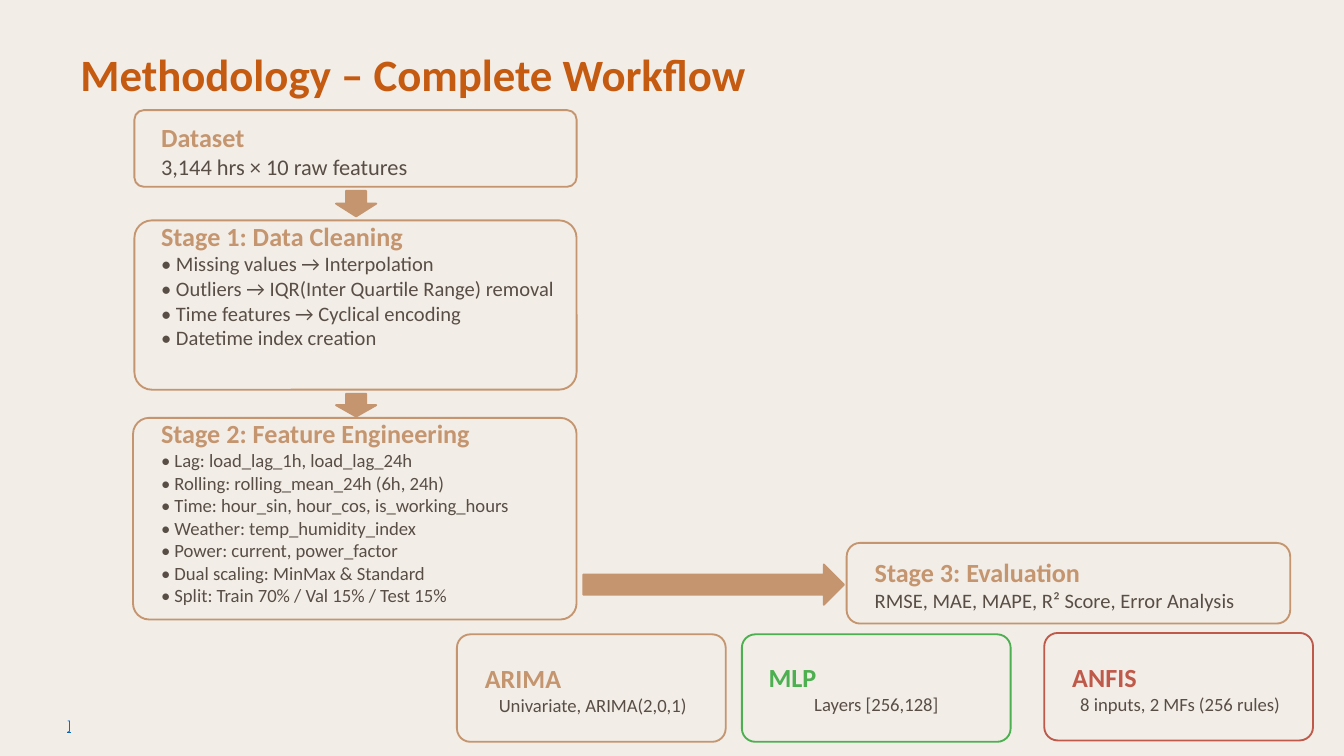
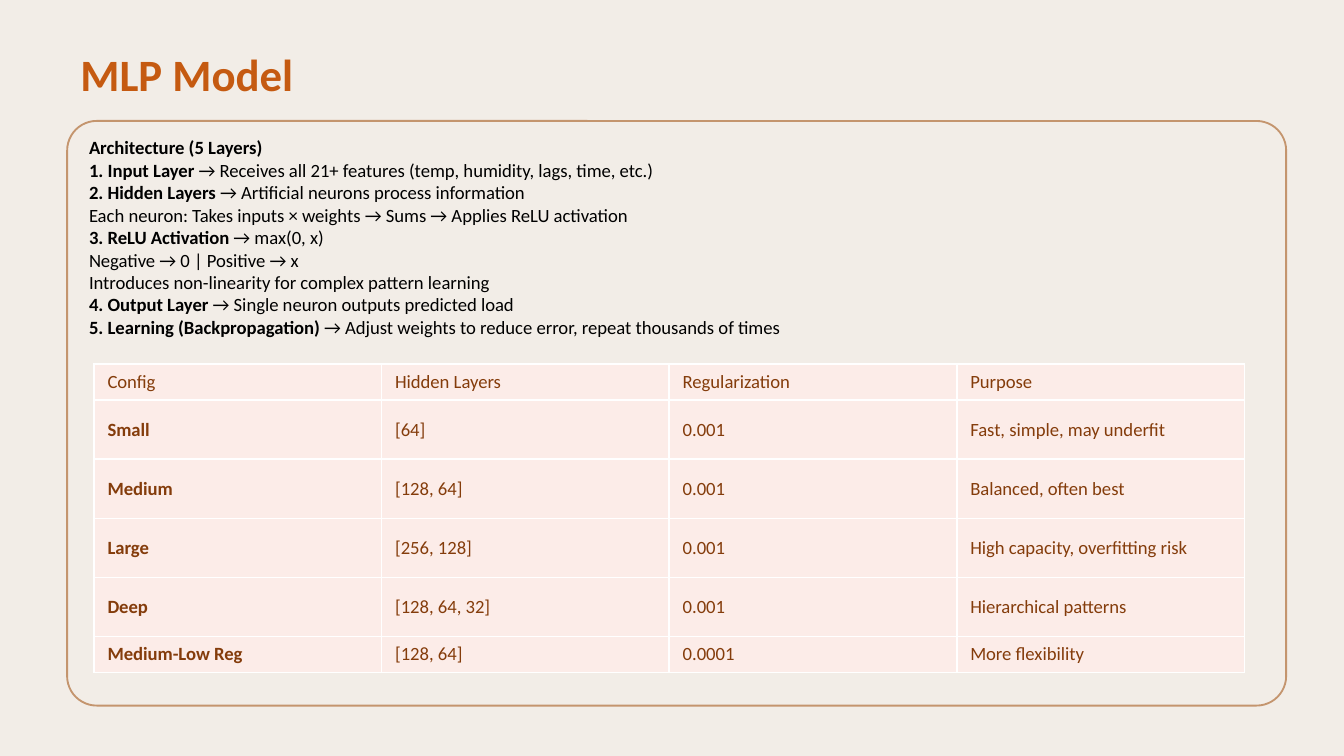
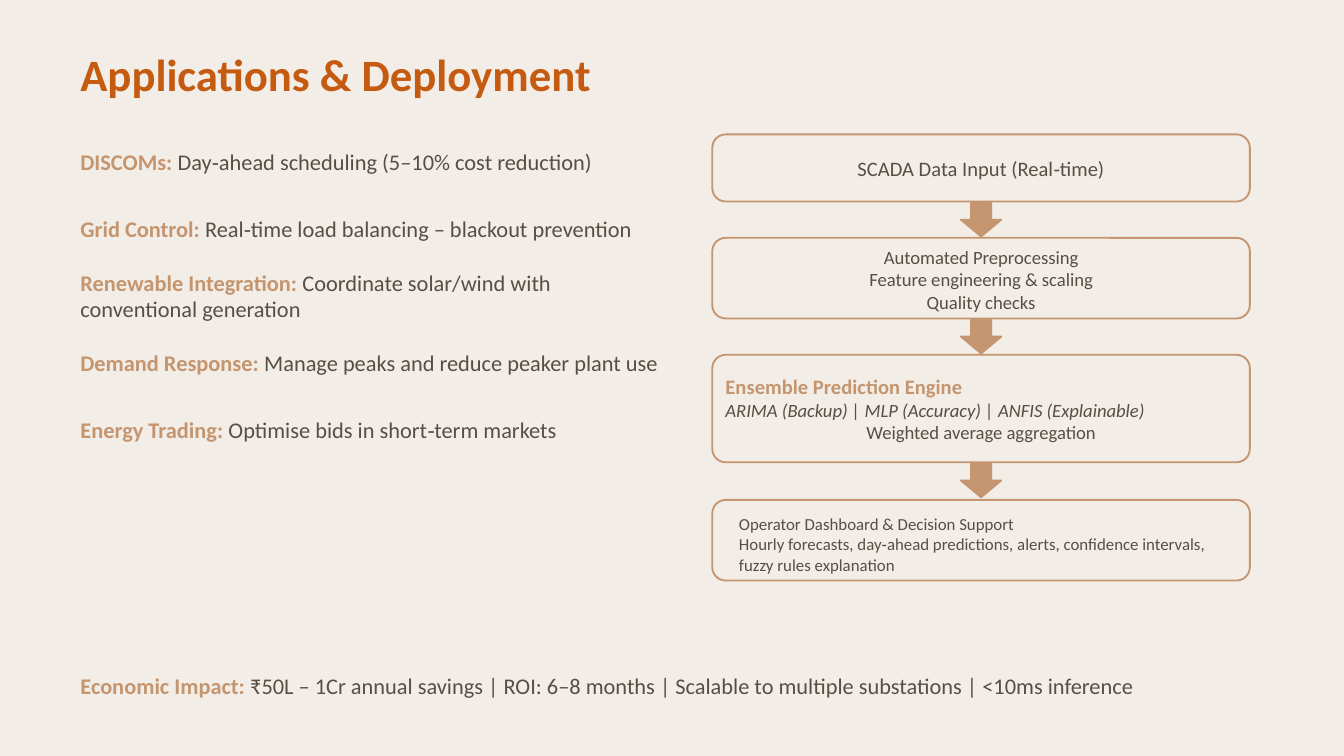
"""Build three slides on a load forecasting workflow, its MLP model and its deployment."""
from lxml.etree import SubElement
from pptx import Presentation
from pptx.dml.color import RGBColor
from pptx.enum.shapes import MSO_SHAPE
from pptx.enum.text import MSO_ANCHOR, PP_ALIGN
from pptx.oxml.ns import qn
from pptx.util import Pt

PX = 9144
FONT = "Calibri"
CREAM = RGBColor(0xF2, 0xED, 0xE7)
ORANGE = RGBColor(0xC5, 0x5A, 0x11)
TAN = RGBColor(0xC4, 0x95, 0x6E)
GREY = RGBColor(0x58, 0x4E, 0x46)
GREEN = RGBColor(0x4C, 0xAF, 0x50)
RED = RGBColor(0xBF, 0x5A, 0x4A)
BLUE = RGBColor(0x05, 0x63, 0xC1)
BLACK = RGBColor(0, 0, 0)
BROWN = RGBColor(0x84, 0x3C, 0x0B)
BLUSH = RGBColor(0xFC, 0xEC, 0xE8)
LEFT, CENTER = PP_ALIGN.LEFT, PP_ALIGN.CENTER
BOLD = {"bold": True}
ITALIC = {"italic": True}
PLAIN = {"bold": False}


def put(page, place, kind=None, line=TAN, fill=CREAM, radius=0):
    """Add a text box, or a preset shape when a kind is given."""
    area = [PX * length for length in place]
    if kind is None:
        box = page.shapes.add_textbox(*area)
    else:
        box = page.shapes.add_shape(kind, *area)
        box.shadow.inherit = False
        box.fill.solid()
        box.fill.fore_color.rgb = fill
        box.line.color.rgb = line
        box.line.width = Pt(1)
        if radius:
            box.adjustments[0] = radius / min(place[2:])
    box.text_frame.word_wrap = True
    box.text_frame.vertical_anchor = MSO_ANCHOR.MIDDLE
    return box


def write(frame, *paras):
    """Fill a frame with paragraphs, each an alignment followed by its spans."""
    for index, (align, *spans) in enumerate(paras):
        para = frame.add_paragraph() if index else frame.paragraphs[0]
        para.alignment = align
        for text, size, color, extras in spans:
            span = para.add_run()
            span.text = text
            for name, value in {"name": FONT, "size": Pt(size), **extras}.items():
                setattr(span.font, name, value)
            span.font.color.rgb = color


deck = Presentation()
deck.slide_width = 1000 * PX
deck.slide_height = deck.slide_width * 9 // 16
pages = []
for title in ("Methodology – Complete Workflow", "MLP Model", "Applications & Deployment"):
    page = deck.slides.add_slide(deck.slide_layouts[6])
    page.background.fill.solid()
    page.background.fill.fore_color.rgb = CREAM
    write(put(page, (50, 30, 900, 50)).text_frame, (LEFT, (title, 24, ORANGE, BOLD)))
    pages.append(page)
workflow, model, deployment = pages

stages = [
    ((100, 82, 329, 57), 7, (110, 82, 310, 60), TAN, LEFT, 12,
     "Dataset", ["3,144 hrs × 10 raw features"]),
    ((100, 164, 329, 126), 13, (110, 172, 352, 80), TAN, LEFT, 11,
     "Stage 1: Data Cleaning",
     ["• Missing values → Interpolation",
      "• Outliers → IQR(Inter Quartile Range) removal",
      "• Time features → Cyclical encoding",
      "• Datetime index creation"]),
    ((99, 311, 330, 150), 12, (110, 331, 310, 100), TAN, LEFT, 10,
     "Stage 2: Feature Engineering",
     ["• Lag: load_lag_1h, load_lag_24h",
      "• Rolling: rolling_mean_24h (6h, 24h)",
      "• Time: hour_sin, hour_cos, is_working_hours",
      "• Weather: temp_humidity_index",
      "• Power: current, power_factor",
      "• Dual scaling: MinMax & Standard",
      "• Split: Train 70% / Val 15% / Test 15%"]),
    ((340, 472, 200, 80), 10, (351, 483, 180, 60), TAN, CENTER, 10,
     "ARIMA", ["Univariate, ARIMA(2,0,1)"]),
    ((552, 472, 200, 80), 10, (562, 482, 180, 60), GREEN, CENTER, 10,
     "MLP", ["Layers [256,128]"]),
    ((777, 471, 200, 80), 10, (788, 482, 180, 60), RED, CENTER, 10,
     "ANFIS", ["8 inputs, 2 MFs (256 rules)"]),
    ((630, 404, 330, 60), 10, (641, 410, 310, 50), TAN, LEFT, 11,
     "Stage 3: Evaluation", ["RMSE, MAE, MAPE, R² Score, Error Analysis"]),
]
for place, radius, text_place, color, align, size, heading, lines in stages:
    put(workflow, place, MSO_SHAPE.ROUNDED_RECTANGLE, color, radius=radius)
    write(put(workflow, text_place).text_frame,
          (LEFT, (heading, 14, color, BOLD)),
          *[(align, (line, size, GREY, PLAIN)) for line in lines])
for place, turn in (((250, 142, 30, 19), 0), ((250, 293, 30, 17), 0), ((516, 338, 30, 194), 270)):
    put(workflow, place, MSO_SHAPE.DOWN_ARROW, fill=TAN).rotation = turn
footer = put(workflow, (50, 525, 900, 30)).text_frame
for side in ("left", "top", "right", "bottom"):
    setattr(footer, f"margin_{side}", 0)
write(footer, (LEFT, ("]", 7, BLUE, {"underline": True})))

architecture = [
    ("Architecture (5 Layers)", ""),
    ("1. Input Layer", " → Receives all 21+ features (temp, humidity, lags, time, etc.)"),
    ("2. Hidden Layers", " → Artificial neurons process information"),
    ("", "Each neuron: Takes inputs × weights → Sums → Applies ReLU activation"),
    ("3. ReLU Activation", " → max(0, x)"),
    ("", "Negative → 0 | Positive → x"),
    ("", "Introduces non-linearity for complex pattern learning"),
    ("4. Output Layer", " → Single neuron outputs predicted load"),
    ("5. Learning (Backpropagation)",
     " → Adjust weights to reduce error, repeat thousands of times"),
]
panel = put(model, (50, 90, 907, 435), MSO_SHAPE.ROUNDED_RECTANGLE, radius=22).text_frame
panel.vertical_anchor = MSO_ANCHOR.TOP
write(panel, *[
    (LEFT, *[(text, 10, BLACK, extras) for text, extras in ((label, BOLD), (detail, PLAIN)) if text])
    for label, detail in architecture])

configs = [
    ("Config", "Hidden Layers", "Regularization", "Purpose"),
    ("Small", "[64]", "0.001", "Fast, simple, may underfit"),
    ("Medium", "[128, 64]", "0.001", "Balanced, often best"),
    ("Large", "[256, 128]", "0.001", "High capacity, overfitting risk"),
    ("Deep", "[128, 64, 32]", "0.001", "Hierarchical patterns"),
    ("Medium-Low Reg", "[128, 64]", "0.0001", "More flexibility"),
]
heights = (25, 44, 44, 44, 44, 25)
table = model.shapes.add_table(
    len(configs), 4, 70 * PX, 271 * PX, 4 * 214 * PX, sum(heights) * PX).table
table.first_row = table.horz_banding = False
for column in table.columns:
    column.width = 214 * PX
for row, (config, height) in enumerate(zip(configs, heights)):
    table.rows[row].height = height * PX
    for column, text in enumerate(config):
        cell = table.cell(row, column)
        cell.vertical_anchor = MSO_ANCHOR.MIDDLE
        for edge in ("a:lnL", "a:lnR", "a:lnT", "a:lnB"):
            border = SubElement(cell._tc.get_or_add_tcPr(), qn(edge), w=str(Pt(1)))
            SubElement(SubElement(border, qn("a:solidFill")), qn("a:srgbClr"), val="FFFFFF")
        cell.fill.solid()
        cell.fill.fore_color.rgb = BLUSH
        write(cell.text_frame,
              (LEFT, (text, 10, BROWN, BOLD if row and not column else PLAIN)))

applications = [
    ("DISCOMs: ", "Day‑ahead scheduling (5–10% cost reduction)"),
    ("Grid Control: ", "Real‑time load balancing – blackout prevention"),
    ("Renewable Integration: ", "Coordinate solar/wind with conventional generation"),
    ("Demand Response: ", "Manage peaks and reduce peaker plant use"),
    ("Energy Trading: ", "Optimise bids in short‑term markets"),
]
notes = [((50, 100 + 50 * index, 450, 40), *texts) for index, texts in enumerate(applications)]
notes.append(((50, 480, 950, 60), "Economic Impact: ",
              "₹50L – 1Cr annual savings | ROI: 6–8 months | "
              "Scalable to multiple substations | <10ms inference"))
for place, label, detail in notes:
    write(put(deployment, place).text_frame,
          (LEFT, (label, 12, TAN, BOLD), (detail, 12, GREY, PLAIN)))

steps = [
    (100, 50, (530, 110, 400, 30),
     [(CENTER, ("SCADA Data Input (Real‑time)", 11, GREY, PLAIN))]),
    (177, 60, (530, 183, 400, 50),
     [(CENTER, (line, 10, GREY, PLAIN)) for line in (
         "Automated Preprocessing", "Feature engineering & scaling", "Quality checks")]),
    (264, 80, (530, 269, 400, 70),
     [(LEFT, ("Ensemble Prediction Engine", 11, TAN, BOLD)),
      (LEFT, ("ARIMA (Backup) | MLP (Accuracy) | ANFIS (Explainable)", 10, GREY, ITALIC)),
      (CENTER, ("Weighted average aggregation", 10, GREY, PLAIN))]),
    (372, 60, (540, 380, 380, 50),
     [(LEFT, (line, 9, GREY, PLAIN)) for line in (
         "Operator Dashboard & Decision Support",
         "Hourly forecasts, day‑ahead predictions, alerts, confidence intervals, "
         "fuzzy rules explanation")]),
]
for top, height, text_place, paras in steps:
    put(deployment, (530, top, 400, height), MSO_SHAPE.ROUNDED_RECTANGLE, radius=10)
    write(put(deployment, text_place).text_frame, *paras)
for top, height, *_ in steps[:-1]:
    put(deployment, (715, top + height + 1, 30, 25), MSO_SHAPE.DOWN_ARROW, fill=TAN)

deck.save("out.pptx")
